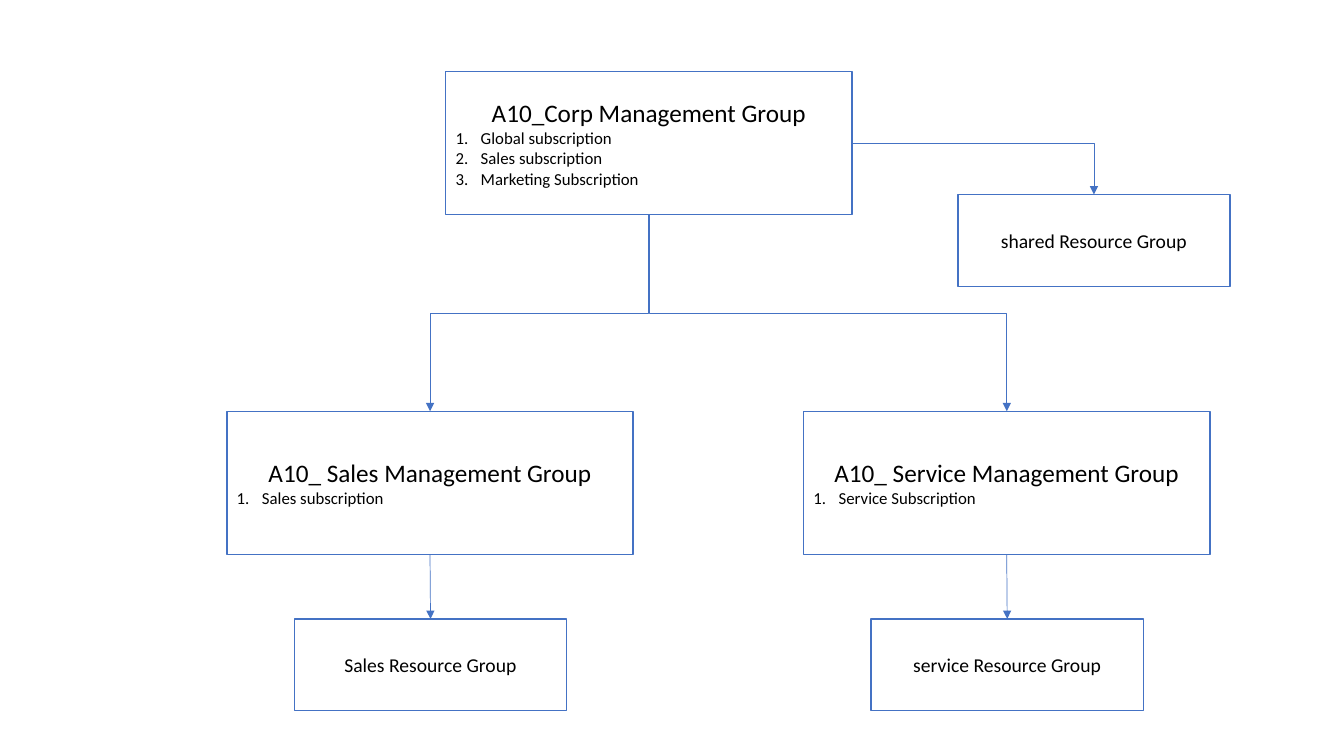
from pptx import Presentation
from pptx.dml.color import RGBColor
from pptx.enum.shapes import MSO_CONNECTOR, MSO_SHAPE
from pptx.enum.text import MSO_ANCHOR, PP_ALIGN
from pptx.oxml.ns import qn
from pptx.util import Inches, Pt
from lxml import etree

RECT = MSO_SHAPE.RECTANGLE
STRAIGHT, ELBOW = MSO_CONNECTOR.STRAIGHT, MSO_CONNECTOR.ELBOW
MIDDLE = MSO_ANCHOR.MIDDLE
LEFT, CENTER = PP_ALIGN.LEFT, PP_ALIGN.CENTER
BLUE = RGBColor(0x44, 0x72, 0xC4)
WHITE = RGBColor(0xFF, 0xFF, 0xFF)
BLACK = RGBColor(0, 0, 0)
TOP, BOTTOM, RIGHT = 0, 2, 3  # connection sites of a rectangle

GROUP = (4.03, 1.42, 18)  # width, height, heading size
RESOURCE = (2.7, 0.91, 14)

BOXES = {
    "corp": (4.42, 0.71, GROUP, "A10_Corp Management Group",
             ["Global subscription", "Sales subscription", "Marketing Subscription"]),
    "sales": (2.25, 4.08, GROUP, "A10_ Sales Management Group", ["Sales subscription"]),
    "service": (7.97, 4.08, GROUP, "A10_ Service Management Group", ["Service Subscription"]),
    "shared": (9.5, 1.93, RESOURCE, "shared Resource Group", []),
    "sales res": (2.92, 6.14, RESOURCE, "Sales Resource Group", []),
    "service res": (8.64, 6.14, RESOURCE, "service Resource Group", []),
}

prs = Presentation()
prs.slide_width, prs.slide_height = Inches(13.33), Inches(7.5)
slide = prs.slides.add_slide(prs.slide_layouts[6])


def link(kind, start, site, end):
    """Draw a thin arrow from a site of one box to the top of another."""
    line = slide.shapes.add_connector(kind, 0, 0, 0, 0)
    line.begin_connect(boxes[start], site)
    line.end_connect(boxes[end], TOP)
    line.line.color.rgb = BLUE
    line.line.width = Pt(0.5)
    props = line._element.spPr
    etree.SubElement(props.find(qn("a:ln")), qn("a:tailEnd"), type="triangle")
    etree.SubElement(props, qn("a:effectLst"))
    return line


boxes = {}
for name, (x, y, (width, height, size), head, items) in BOXES.items():
    box = slide.shapes.add_shape(RECT, Inches(x), Inches(y), Inches(width), Inches(height))
    box.shadow.inherit = False
    box.fill.solid()
    box.fill.fore_color.rgb = WHITE
    box.line.color.rgb = BLUE
    box.line.width = Pt(1)
    frame = box.text_frame
    frame.word_wrap = True
    frame.vertical_anchor = MIDDLE
    for i, text in enumerate([head] + items):
        para = frame.add_paragraph() if i else frame.paragraphs[0]
        para.alignment = LEFT if i else CENTER
        run = para.add_run()
        run.text = text
        look = {"name": "Calibri", "size": Pt(12 if i else size)}
        for key, value in look.items():
            setattr(run.font, key, value)
        run.font.color.rgb = BLACK
        if i:
            props = para._p.get_or_add_pPr()
            props.set("marL", str(Inches(0.25)))
            props.set("indent", str(-Inches(0.25)))
            etree.SubElement(props, qn("a:buFont"), typeface="+mj-lt")
            etree.SubElement(props, qn("a:buAutoNum"), type="arabicPeriod")
    boxes[name] = box

# An elbow leaves sideways, so each branch is turned to leave downwards
for name, angle in (("sales", 90), ("service", 270)):
    branch = link(ELBOW, "corp", BOTTOM, name)
    wide, high = branch.width, branch.height
    branch.left += (wide - high) // 2
    branch.top += (high - wide) // 2
    branch.width, branch.height = high, wide
    frame = branch._element.spPr.xfrm
    frame.rot = angle
    frame.flipH = angle == 270

for name in ("sales", "service"):
    link(STRAIGHT, name, BOTTOM, name + " res")

side = link(ELBOW, "corp", RIGHT, "shared")
side._element.spPr.find(qn("a:prstGeom")).set("prst", "bentConnector2")

prs.save("out.pptx")
